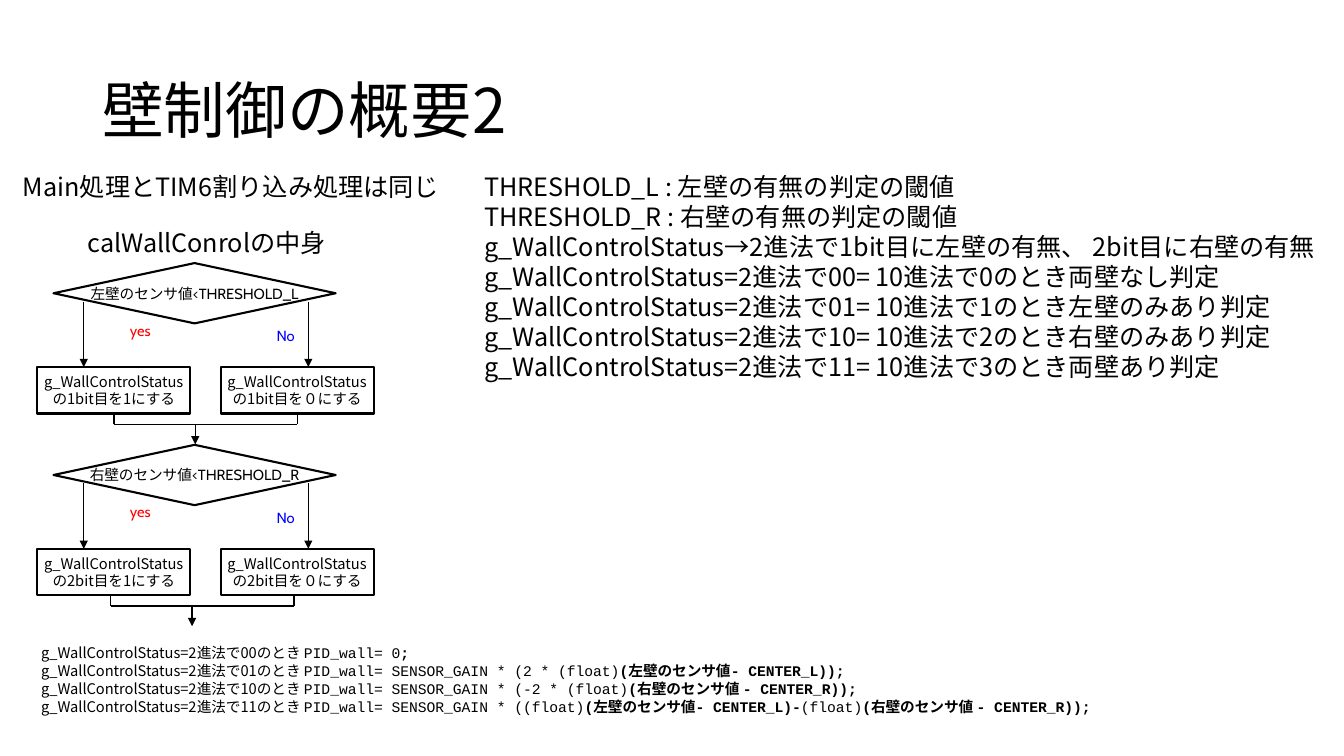
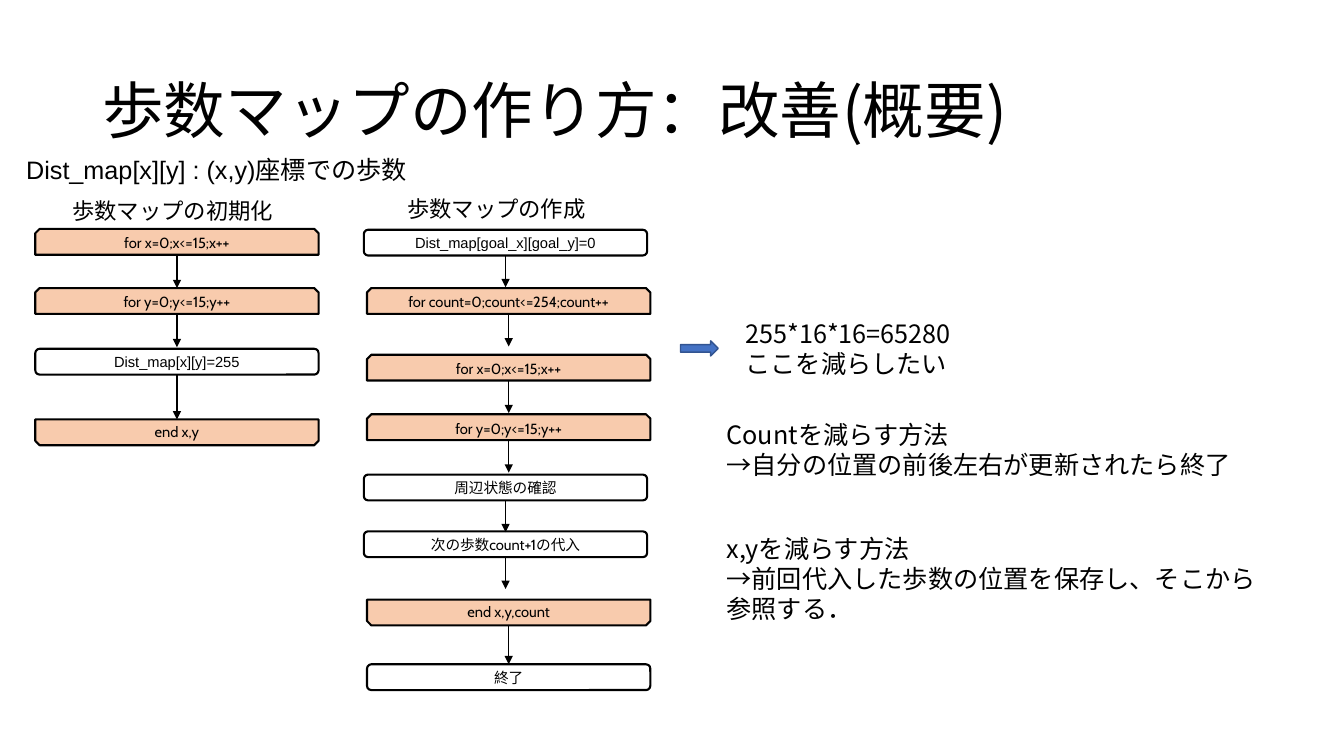
from lxml import etree
from pptx import Presentation
from pptx.dml.color import RGBColor
from pptx.enum.shapes import MSO_CONNECTOR, MSO_SHAPE
from pptx.enum.text import MSO_ANCHOR, PP_ALIGN
from pptx.oxml.ns import qn
from pptx.util import Cm, Pt

STRAIGHT = MSO_CONNECTOR.STRAIGHT
PROCESS = MSO_SHAPE.FLOWCHART_PROCESS
DECISION = MSO_SHAPE.FLOWCHART_DECISION
STEP = MSO_SHAPE.FLOWCHART_ALTERNATE_PROCESS
ROUND = MSO_SHAPE.ROUNDED_RECTANGLE
LOOP = MSO_SHAPE.SNIP_2_SAME_RECTANGLE
RIGHT_ARROW = MSO_SHAPE.RIGHT_ARROW
MIDDLE = MSO_ANCHOR.MIDDLE
CENTER = PP_ALIGN.CENTER

JP, CABIN, ARIAL, CODE = "Noto Sans CJK JP", "Cabin", "Arial", "Courier New"
BLACK, RED, BLUE = "000000", "FF0000", "0000FF"
PEACH, ARROW_FILL, ARROW_LINE = "F8CBAD", "4472C4", "325491"
SMALL, HEADING, BODY, TITLE = 10.5, 16, 18, 44
LEADING = 1.195


def rgb(value):
    """Turn a hex string into a colour."""
    return RGBColor.from_string(value)


def format_run(r, size, font, color=BLACK, bold=False):
    """Set the size, fonts, colour and weight of a run."""
    r.font.size = Pt(size)
    r.font.bold = bold
    r.font.color.rgb = rgb(color)
    r.font.name = font
    etree.SubElement(r.font._element, qn("a:ea")).set("typeface", JP)


def format_text(tf, size, font, color=BLACK, align=None):
    """Format every paragraph of a text frame alike."""
    for p in tf.paragraphs:
        p.alignment = align
        if font == JP or size == BODY:
            p.line_spacing = Pt(round(size * LEADING, 1))
        for r in p.runs:
            format_run(r, size, font, color)


def add_text(s, box, text, size=BODY, font=JP):
    """Place a wrapping text box."""
    tf = s.shapes.add_textbox(*map(Cm, box)).text_frame
    tf.word_wrap = True
    tf.text = text
    format_text(tf, size, font)
    return tf


def add_title(prs, text):
    """Add a blank slide with the shared title."""
    s = prs.slides.add_slide(prs.slide_layouts[6])
    tf = add_text(s, (2.33, 1.01, 29.21, 3.68), text, TITLE)
    tf.vertical_anchor = MIDDLE
    tf.paragraphs[0].line_spacing = 0.9
    return s


def add_box(s, kind, box, text="", font=CABIN, color=BLACK, fill=None, line=BLACK, width=1.5):
    """Place a shape with centred text that does not wrap."""
    sp = s.shapes.add_shape(kind, *map(Cm, box))
    sp.shadow.inherit = False
    if fill:
        sp.fill.solid()
        sp.fill.fore_color.rgb = rgb(fill)
    else:
        sp.fill.background()
    if line:
        sp.line.color.rgb = rgb(line)
        sp.line.width = Pt(width)
    else:
        sp.line.fill.background()
    tf = sp.text_frame
    tf.word_wrap = False
    tf.vertical_anchor = MIDDLE
    if text:
        tf.text = text
        format_text(tf, SMALL, font, color, CENTER)
    return sp


def add_line(s, x1, y1, x2, y2, arrow=False):
    """Draw a black line, with an arrowhead at its end if wanted."""
    cx = s.shapes.add_connector(STRAIGHT, Cm(x1), Cm(y1), Cm(x2), Cm(y2))
    cx.line.color.rgb = rgb(BLACK)
    cx.line.width = Pt(1)
    if arrow:
        etree.SubElement(cx.line._get_or_add_ln(), qn("a:tailEnd")).set("type", "triangle")
    etree.SubElement(cx._element.spPr, qn("a:effectLst"))


def add_decision(s, left, top, test, bit, join):
    """Draw one wall test with its two branches, joined from x offset join."""
    add_box(s, PROCESS, (left + 5.56, top + 1.52, 1.4, 0.61), "No", color=BLUE, line=None)
    add_box(s, PROCESS, (left + 2.11, top + 1.4, 0.97, 0.58), "yes", color=RED, line=None)
    add_box(s, DECISION, (left + 0.41, top, 7.11, 1.52), test)
    bar = top + 4.06
    for i, (value, arrow_x) in enumerate((("1", 1.17), ("０", 6.83))):
        dx = 4.62 * i
        add_line(s, left + arrow_x, top + 0.97, left + arrow_x, top + 2.62, True)
        add_box(s, PROCESS, (left + dx, top + 2.62, 3.86, 1.17),
                f"g_WallControlStatus\nの{bit}bit目を{value}にする", JP)
        add_line(s, left + join + dx, bar, left + join + dx, top + 3.79)
    add_line(s, left + join, bar, left + join + 4.62, bar)
    add_line(s, left + join + 2.05, bar, left + join + 2.05, top + 4.57, True)


def add_formulas(s, box, rows):
    """List the control formula of each state, with its parts in code type."""
    tf = add_text(s, box, "", SMALL)
    for i, (state, parts) in enumerate(rows):
        p = tf.paragraphs[0] if i == 0 else tf.add_paragraph()
        p.text = f"g_WallControlStatus=2進法で{state}のとき "
        p.line_spacing = Pt(12.7)
        format_run(p.runs[0], SMALL, JP)
        for j, part in enumerate(parts):
            r = p.add_run()
            r.text = part
            format_run(r, SMALL, CODE, bold=j % 2 == 1)


def add_flow(s, left, top, heading, heading_box, steps):
    """Draw a column of steps, each with an arrow of the given length below it."""
    add_text(s, heading_box, heading, HEADING)
    for kind, dx, dy, arrow, text, font in steps:
        x, y = left + dx, top + dy
        sp = add_box(s, kind, (x, y, 7.14, 0.65), text, font,
                     fill=PEACH if kind == LOOP else None)
        if text.startswith("end"):
            sp.adjustments[0], sp.adjustments[1] = 0, 0.17
        if arrow:
            add_line(s, x + 3.57, y + 0.65, x + 3.57, y + 0.65 + arrow, True)


def wall_control_slide(prs):
    """Build the slide on wall control."""
    s = add_title(prs, "壁制御の概要2")
    add_text(s, (0.33, 4.19, 11.66, 1.02), "Main処理とTIM6割り込み処理は同じ")
    add_text(s, (1.96, 5.61, 6.83, 1.02), "calWallConrolの中身")
    add_text(s, (11.96, 4.19, 21.54, 5.64), "\n".join((
        "THRESHOLD_L : 左壁の有無の判定の閾値",
        "THRESHOLD_R : 右壁の有無の判定の閾値",
        "g_WallControlStatus→2進法で1bit目に左壁の有無、 2bit目に右壁の有無",
        "g_WallControlStatus=2進法で00= 10進法で0のとき両壁なし判定",
        "g_WallControlStatus=2進法で01= 10進法で1のとき左壁のみあり判定",
        "g_WallControlStatus=2進法で10= 10進法で2のとき右壁のみあり判定",
        "g_WallControlStatus=2進法で11= 10進法で3のとき両壁あり判定")))
    add_decision(s, 0.94, 6.63, "左壁のセンサ値<THRESHOLD_L", 1, 1.93)
    add_decision(s, 0.94, 11.21, "右壁のセンサ値<THRESHOLD_R", 2, 1.85)
    gain = "PID_wall= SENSOR_GAIN * ("
    add_formulas(s, (0.79, 16.1, 28.83, 2.06), (
        ("00", ("PID_wall= 0", ";")),
        ("01", (gain + "2 * (float)", "(左壁のセンサ値- CENTER_L));")),
        ("10", (gain + "-2 * (float)", "(右壁のセンサ値 - CENTER_R));")),
        ("11", (gain + "(float)", "(左壁のセンサ値- CENTER_L)-",
                "(float)", "(右壁のセンサ値 - CENTER_R));"))))


def step_map_slide(prs):
    """Build the slide on the step map."""
    s = add_title(prs, "歩数マップの作り方：改善(概要)")
    add_text(s, (0.41, 3.76, 10.19, 1.02), "Dist_map[x][y] : (x,y)座標での歩数", font=ARIAL)
    add_flow(s, 0.89, 5.77, "歩数マップの初期化", (1.57, 4.85, 7.14, 0.94), (
        (LOOP, 0, 0, 0.84, "for x=0;x<=15;x++", CABIN),
        (LOOP, 0, 1.49, 0.84, "for y=0;y<=15;y++", CABIN),
        (STEP, 0, 3.02, 1.13, "Dist_map[x][y]=255", ARIAL),
        (LOOP, 0, 4.8, 0, "end x,y", CABIN)))
    add_flow(s, 9.17, 5.79, "歩数マップの作成", (10.01, 4.8, 7.14, 0.94), (
        (STEP, 0, 0, 0.8, "Dist_map[goal_x][goal_y]=0", ARIAL),
        (LOOP, 0.08, 1.47, 0.82, "for count=0;count<=254;count++", CABIN),
        (LOOP, 0.08, 3.15, 0.82, "for x=0;x<=15;x++", CABIN),
        (LOOP, 0.08, 4.65, 0.82, "for y=0;y<=15;y++", CABIN),
        (STEP, 0, 6.17, 0.8, "周辺状態の確認", ARIAL),
        (STEP, 0, 7.6, 0.8, "次の歩数count+1の代入", CABIN),
        (LOOP, 0.08, 9.32, 0.98, "end x,y,count", CABIN),
        (ROUND, 0.08, 10.95, 0, "終了", CABIN)))
    add_box(s, RIGHT_ARROW, (17.15, 8.59, 0.95, 0.38), fill=ARROW_FILL, line=ARROW_LINE, width=1)
    add_text(s, (18.54, 7.9, 6.38, 1.8), "255*16*16=65280\nここを減らしたい")
    add_text(s, (18.06, 10.44, 14.1, 1.8),
             "Countを減らす方法\n→自分の位置の前後左右が更新されたら終了")
    add_text(s, (18.06, 13.31, 14.1, 2.57),
             "x,yを減らす方法\n→前回代入した歩数の位置を保存し、そこから参照する．")


def main():
    """Build and save the presentation."""
    prs = Presentation()
    prs.slide_width, prs.slide_height = Cm(33.87), Cm(19.05)
    wall_control_slide(prs)
    step_map_slide(prs)
    prs.save("out.pptx")


if __name__ == "__main__":
    main()
